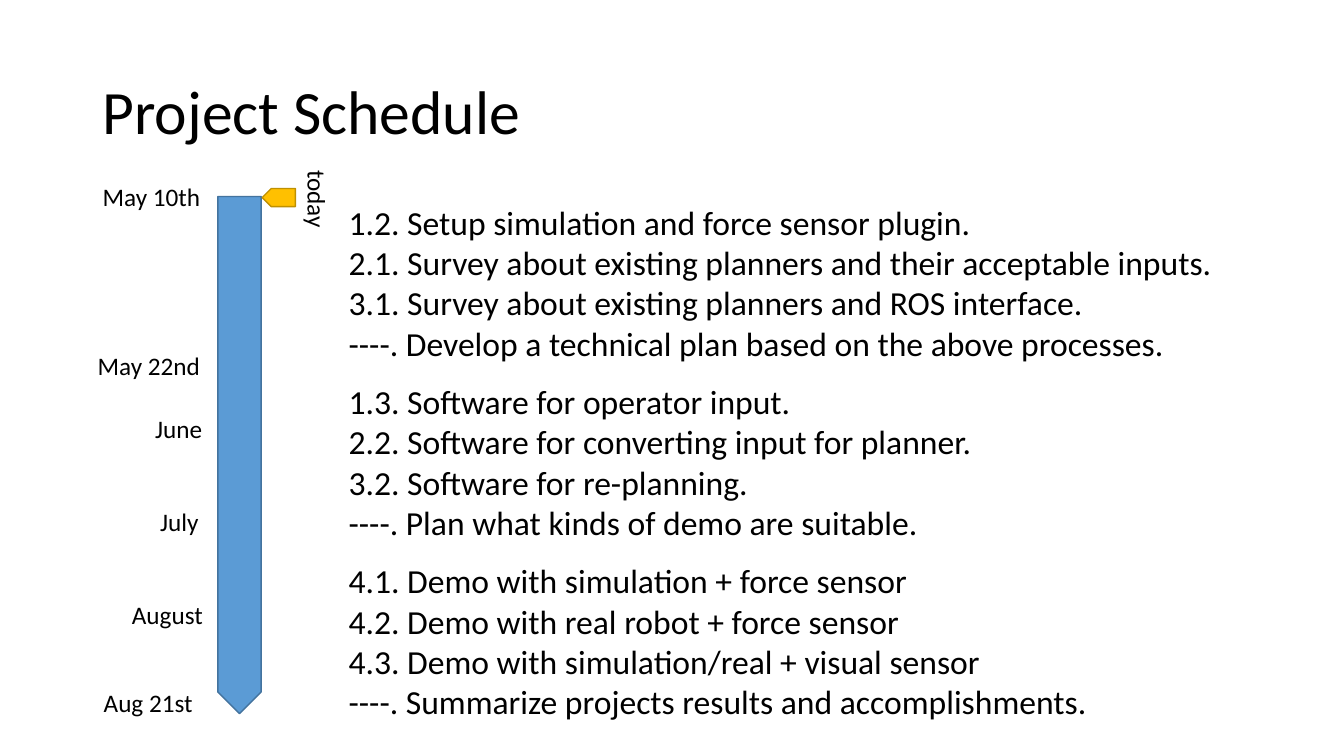
import pptx
import pptx.util
import pptx.dml.color
import pptx.enum.shapes
import pptx.enum.text

Inches = pptx.util.Inches
ALIGN = pptx.enum.text.PP_ALIGN
COLORS = {"text": "000000", "bar": "5B9BD5", "edge": "43739E",
          "flag": "FFC000", "rim": "BF9000"}
FONT = "Calibri"

# label, left, top, width
DATES = [("May 10th", 0.92, 1.75, 1.18), ("May 22nd", 0.87, 3.43, 1.23),
         ("June", 1.44, 4.05, 0.68), ("July", 1.49, 4.97, 0.59),
         ("August", 1.21, 5.9, 0.91), ("Aug 21st", 0.93, 6.77, 1.09)]

TASKS = [
    ["1.2. Setup simulation and force sensor plugin.",
     "2.1. Survey about existing planners and their acceptable inputs.",
     "3.1. Survey about existing planners and ROS interface.",
     "----. Develop a technical plan based on the above processes."],
    ["1.3. Software for operator input.",
     "2.2. Software for converting input for planner.",
     "3.2. Software for re-planning.",
     "----. Plan what kinds of demo are suitable."],
    ["4.1. Demo with simulation + force sensor",
     "4.2. Demo with real robot + force sensor",
     "4.3. Demo with simulation/real + visual sensor",
     "----. Summarize projects results and accomplishments."],
]


def tint(name):
    """Return the named colour."""
    return pptx.dml.color.RGBColor.from_string(COLORS[name])


def add_text(slide, box, lines, size, align=ALIGN.LEFT, wrap=True):
    """Add a text box with one paragraph per line."""
    shape = slide.shapes.add_textbox(*map(Inches, box))
    frame = shape.text_frame
    frame.word_wrap = wrap
    for num, line in enumerate(lines):
        para = frame.add_paragraph() if num else frame.paragraphs[0]
        para.alignment = align
        run = para.add_run()
        run.text = line
        run.font.name = FONT
        run.font.size = pptx.util.Pt(size)
        run.font.color.rgb = tint("text")
    return shape


def add_arrow(slide, box, turn, fill, line):
    """Add a rotated pentagon arrow."""
    kind = pptx.enum.shapes.MSO_SHAPE.PENTAGON
    shape = slide.shapes.add_shape(kind, *map(Inches, box))
    shape.rotation = turn
    shape.shadow.inherit = False
    shape.fill.solid()
    shape.fill.fore_color.rgb = tint(fill)
    shape.line.color.rgb = tint(line)
    shape.line.width = pptx.util.Pt(1)


def add_title(slide, box):
    """Add the slide title, centred in the height of its box."""
    frame = add_text(slide, box, ["Project Schedule"], 44).text_frame
    frame.vertical_anchor = pptx.enum.text.MSO_ANCHOR.MIDDLE
    frame.paragraphs[0].line_spacing = 0.9


def add_time(slide, box):
    """Add the time bar in its upright box, with dates and today flag."""
    left, top, width, height = box
    # The arrow lies flat before its quarter turn about the centre.
    flat = (left + (width - height) / 2, top + (height - width) / 2,
            height, width)
    add_arrow(slide, flat, 90, "bar", "edge")
    for label, x, y, wide in DATES:
        add_text(slide, (x, y, wide, 0.4), [label], 18, wrap=False)
    add_arrow(slide, (left + width + 0.01, top - 0.08, 0.33, 0.18), 180,
              "flag", "rim")
    today = add_text(slide, (left + 0.69, top - 0.38, 0.5, 0.81), ["today"],
                     18, ALIGN.CENTER)
    today.element.txBody.bodyPr.set("vert", "vert")


def add_tasks(slide, box):
    """Stack the task groups at an even pitch within the box."""
    left, top, width, height = box
    group = 1.72
    pitch = (height - group) / (len(TASKS) - 1)
    for num, lines in enumerate(TASKS):
        add_text(slide, (left, top + num * pitch, width, group), lines, 24)


def main():
    """Build and save the slide."""
    deck = pptx.Presentation()
    deck.slide_width = Inches(13.33)
    deck.slide_height = Inches(7.5)
    slide = deck.slides.add_slide(deck.slide_layouts[6])
    add_title(slide, (0.92, 0.41, 11.5, 1.45))
    add_time(slide, (2.16, 1.95, 0.43, 5.13))
    add_tasks(slide, (3.36, 1.95, 8.93, 5.28))
    deck.save("out.pptx")


main()
